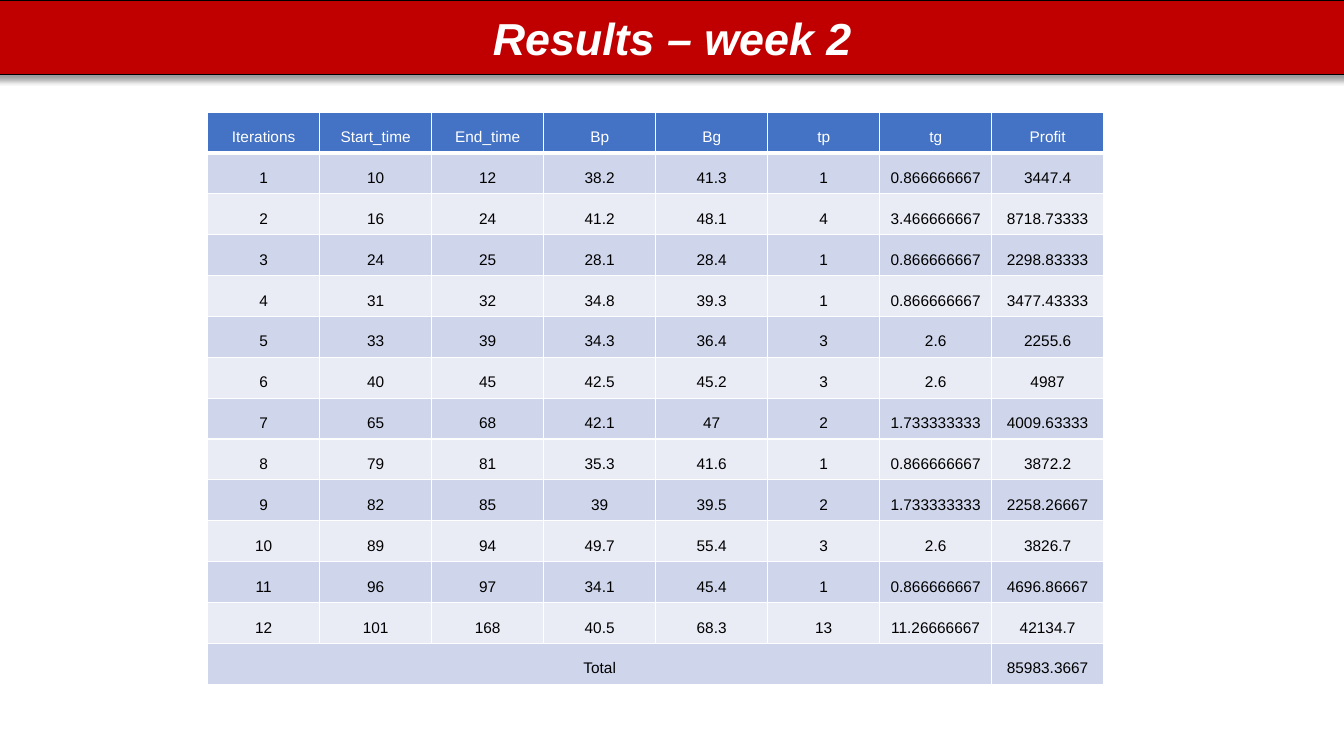
"""Builds the week 2 results slide: a title banner above a table of iterations."""
from lxml import etree
from pptx import Presentation
from pptx.dml.color import RGBColor
from pptx.enum.shapes import MSO_SHAPE
from pptx.enum.text import MSO_ANCHOR, PP_ALIGN
from pptx.oxml import parse_xml
from pptx.oxml.ns import qn
from pptx.util import Pt

RECT = MSO_SHAPE.RECTANGLE
MIDDLE = MSO_ANCHOR.MIDDLE
CENTER = PP_ALIGN.CENTER

FONT = "Arial"
WHITE, BLACK, RED = "FFFFFF", "000000", "C00000"
HEADER_FILL = "4472C4"
BAND_FILLS = ("E9EBF5", "CFD5EA")
COL_WIDTH, ROW_HEIGHT = 80, 29.2

HEADERS = ["Iterations", "Start_time", "End_time", "Bp", "Bg", "tp", "tg", "Profit"]
RESULTS = [
    ["1", "10", "12", "38.2", "41.3", "1", "0.866666667", "3447.4"],
    ["2", "16", "24", "41.2", "48.1", "4", "3.466666667", "8718.73333"],
    ["3", "24", "25", "28.1", "28.4", "1", "0.866666667", "2298.83333"],
    ["4", "31", "32", "34.8", "39.3", "1", "0.866666667", "3477.43333"],
    ["5", "33", "39", "34.3", "36.4", "3", "2.6", "2255.6"],
    ["6", "40", "45", "42.5", "45.2", "3", "2.6", "4987"],
    ["7", "65", "68", "42.1", "47", "2", "1.733333333", "4009.63333"],
    ["8", "79", "81", "35.3", "41.6", "1", "0.866666667", "3872.2"],
    ["9", "82", "85", "39", "39.5", "2", "1.733333333", "2258.26667"],
    ["10", "89", "94", "49.7", "55.4", "3", "2.6", "3826.7"],
    ["11", "96", "97", "34.1", "45.4", "1", "0.866666667", "4696.86667"],
    ["12", "101", "168", "40.5", "68.3", "13", "11.26666667", "42134.7"],
]
TOTAL = ["Total"] + [""] * 6 + ["85983.3667"]

SHADOW = """<a:effectLst xmlns:a="http://schemas.openxmlformats.org/drawingml/2006/main">
  <a:outerShdw blurRad="{blur}" dist="{dist}" dir="5400000" rotWithShape="0">
    <a:srgbClr val="{color}"><a:alpha val="40000"/></a:srgbClr>
  </a:outerShdw>
</a:effectLst>"""


def rgb(color):
    """Return the colour for a hex string."""
    return RGBColor.from_string(color)


def add_run(p, text, size, color, bold=False, italic=False):
    """Add one formatted run to a paragraph."""
    r = p.add_run()
    r.text = text
    r.font.name = FONT
    r.font.size = Pt(size)
    r.font.bold = bold
    r.font.italic = italic
    r.font.color.rgb = rgb(color)


def add_banner(s, text, left, top, width, height):
    """Add the title banner with its soft drop shadow."""
    sp = s.shapes.add_shape(RECT, Pt(left), Pt(top), Pt(width), Pt(height))
    sp.fill.solid()
    sp.fill.fore_color.rgb = rgb(RED)
    sp.line.color.rgb = rgb(BLACK)
    sp.line.width = Pt(1)
    shadow = SHADOW.format(blur=Pt(4), dist=Pt(3), color=BLACK)
    sp._element.spPr.append(parse_xml(shadow))
    tf = sp.text_frame
    tf.word_wrap = True
    tf.vertical_anchor = MIDDLE
    p = tf.paragraphs[0]
    p.alignment = CENTER
    add_run(p, text, 32, WHITE, bold=True, italic=True)


def set_border(cell, side, width):
    """Draw a white line on one side of a cell."""
    ln = etree.SubElement(cell._tc.get_or_add_tcPr(), qn(f"a:ln{side}"), w=str(Pt(width)))
    fill = etree.SubElement(ln, qn("a:solidFill"))
    etree.SubElement(fill, qn("a:srgbClr"), val=WHITE)


def format_cell(cell, text, row):
    """Style a cell by its row and write its text."""
    heavy = {(0, "B"), (1, "T")}
    for side in "LRTB":
        set_border(cell, side, 3 if (row, side) in heavy else 1)
    cell.fill.solid()
    cell.fill.fore_color.rgb = rgb(BAND_FILLS[row % 2] if row else HEADER_FILL)
    cell.vertical_anchor = MIDDLE
    cell.margin_left = cell.margin_right = cell.margin_top = Pt(0.75)
    cell.margin_bottom = Pt(0)
    p = cell.text_frame.paragraphs[0]
    p.alignment = CENTER
    p.line_spacing = 1.5
    if text:
        add_run(p, text, 11, BLACK if row else WHITE)


def add_results_table(s, rows, left, top):
    """Add the results table, with the total label spanning all but the last column."""
    n_rows, n_cols = len(rows), len(rows[0])
    frame = s.shapes.add_table(n_rows, n_cols, Pt(left), Pt(top),
                               Pt(COL_WIDTH * n_cols), Pt(ROW_HEIGHT * n_rows))
    table = frame.table
    for col in table.columns:
        col.width = Pt(COL_WIDTH)
    for i, values in enumerate(rows):
        table.rows[i].height = Pt(ROW_HEIGHT)
        for j, text in enumerate(values):
            format_cell(table.cell(i, j), text, i)
    table.cell(n_rows - 1, 0).merge(table.cell(n_rows - 1, n_cols - 2))


def main():
    """Build and save the slide."""
    prs = Presentation()
    prs.slide_width, prs.slide_height = Pt(960), Pt(540)
    s = prs.slides.add_slide(prs.slide_layouts[6])
    add_banner(s, "Results – week 2", -3.6, 0, 967.7, 53.3)
    add_results_table(s, [HEADERS, *RESULTS, TOTAL], 148.4, 80)
    prs.save("out.pptx")


if __name__ == "__main__":
    main()
